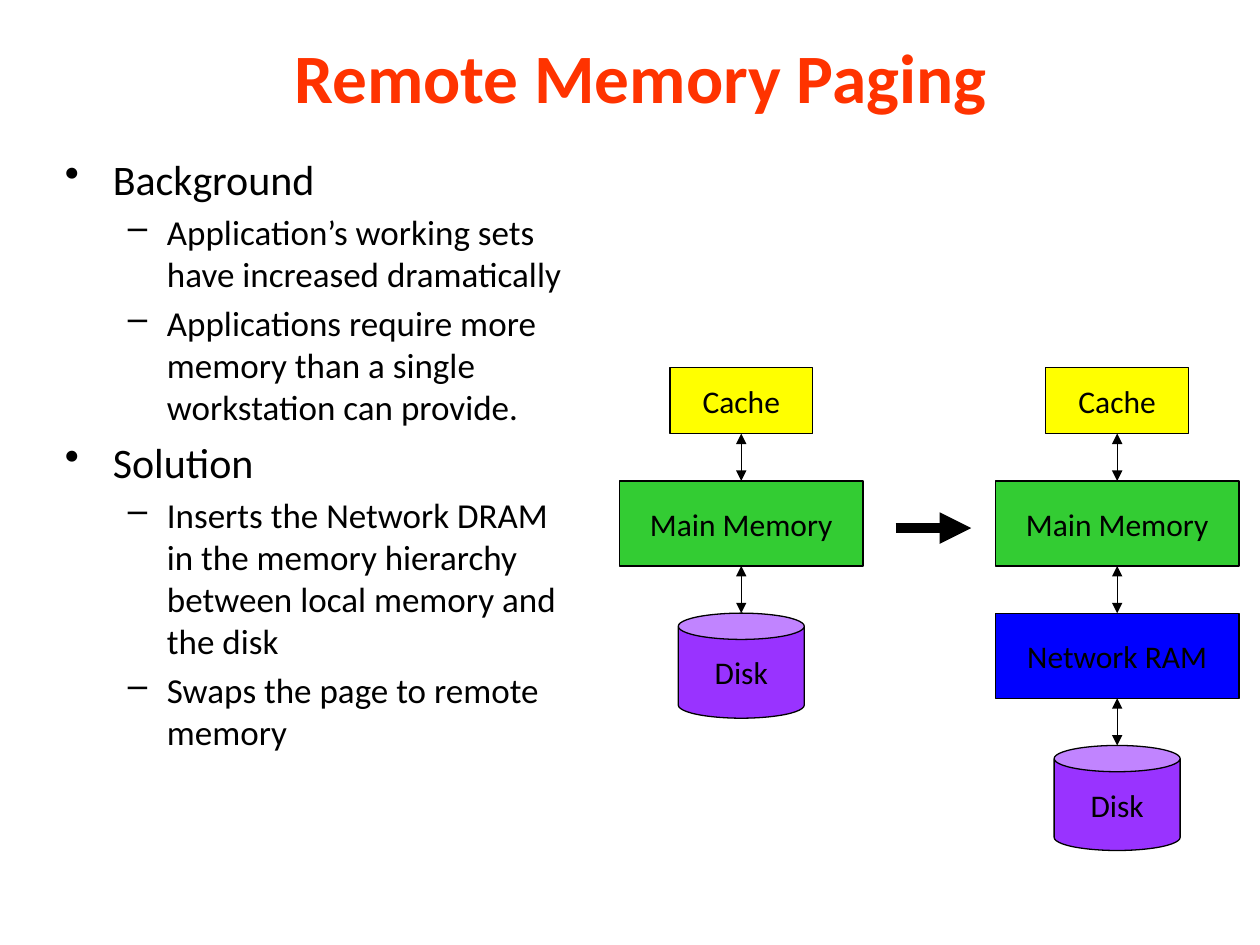
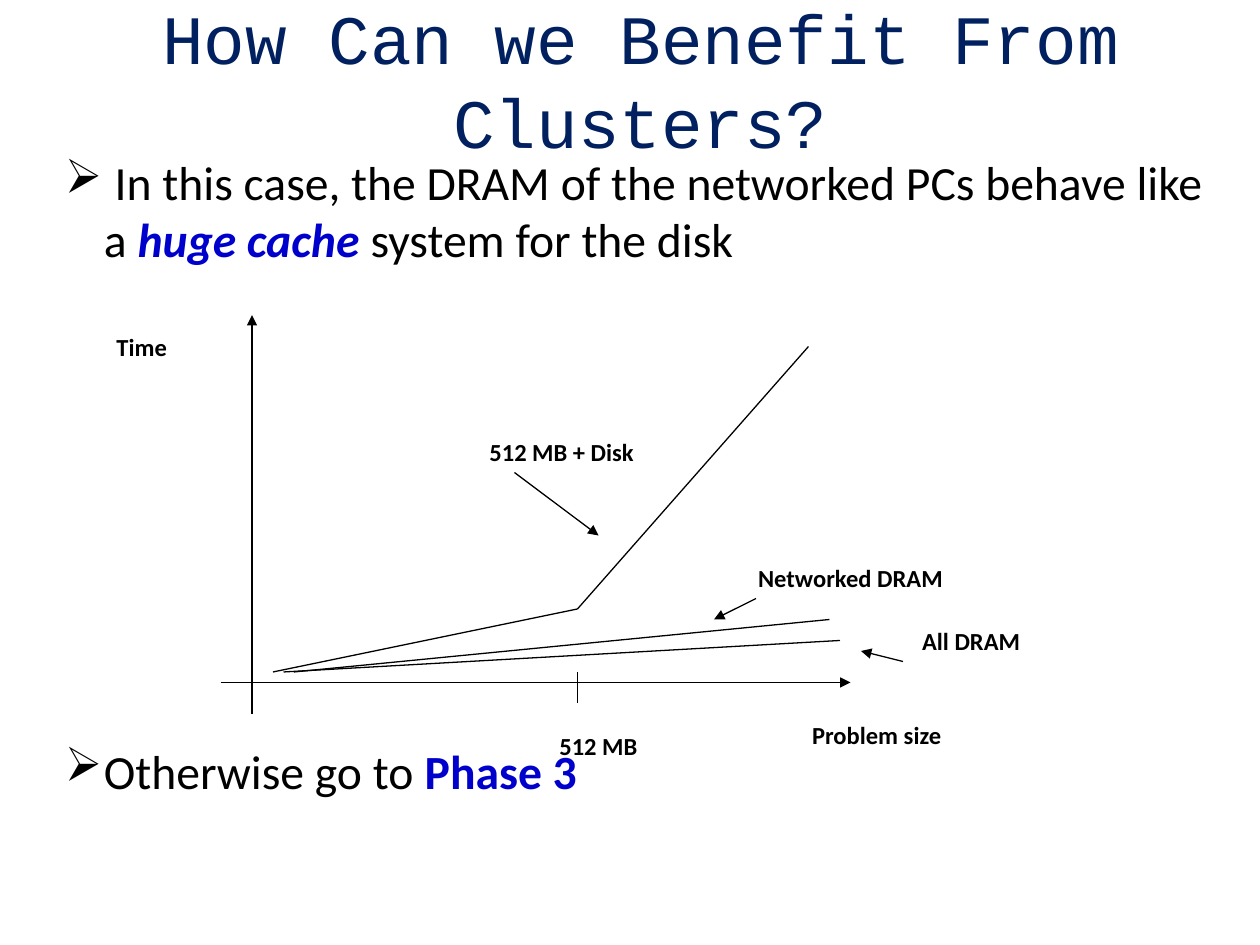
from pptx import Presentation
from pptx.dml.color import RGBColor
from pptx.enum.shapes import MSO_CONNECTOR, MSO_SHAPE
from pptx.enum.text import MSO_ANCHOR, PP_ALIGN
from pptx.oxml.ns import qn
from pptx.util import Inches, Pt
from lxml.etree import SubElement

COLORS = {
    "black": "000000", "title_red": "FF3300", "title_navy": "002060",
    "emphasis": "0000CC", "cache": "FFFF00", "memory": "33CC33",
    "network": "0000FF", "disk": "9933FF",
}

deck = Presentation()
deck.slide_width, deck.slide_height = Inches(10), Inches(7.5)
UNIT = deck.slide_width / 120  # the grid has 120 columns and 90 rows

# Shared formats
TITLE = {"alignment": PP_ALIGN.CENTER}
CENTERED = {"alignment": PP_ALIGN.CENTER}
MIDDLE = {"word_wrap": True, "vertical_anchor": MSO_ANCHOR.MIDDLE}
TOP = {"word_wrap": True, "vertical_anchor": MSO_ANCHOR.TOP}
UNWRAPPED = {"word_wrap": False, "vertical_anchor": MSO_ANCHOR.MIDDLE}
PLAIN = {"name": "Calibri", "bold": False, "italic": False}
BOLD = PLAIN | {"bold": True}


def write(frame, frame_format, paragraphs):
    """Fill a frame with (format, bullet, runs); a run is (text, font, colour)."""
    for key, value in frame_format.items():
        setattr(frame, key, value)
    for number, (paragraph_format, bullet, runs) in enumerate(paragraphs):
        paragraph = frame.add_paragraph() if number else frame.paragraphs[0]
        for key, value in paragraph_format.items():
            setattr(paragraph, key, value)
        if bullet:
            sign, margin, hanging = bullet
            properties = paragraph._p.get_or_add_pPr()
            properties.set("marL", str(Inches(margin)))
            properties.set("indent", str(-Inches(hanging)))
            SubElement(properties, qn("a:buChar")).set("char", sign)
        for text, font_format, color in runs:
            run = paragraph.add_run()
            run.text = text
            for key, value in font_format.items():
                setattr(run.font, key, value)
            run.font.color.rgb = RGBColor.from_string(COLORS[color])


def draw_line(slide, start, end, arrows=(), width=0.75):
    """Join two grid points; arrows names the ends that carry a triangle."""
    points = [round(value * UNIT) for value in (*start, *end)]
    line = slide.shapes.add_connector(MSO_CONNECTOR.STRAIGHT, *points)
    line.line.width = Pt(width)
    line.line.color.rgb = RGBColor.from_string(COLORS["black"])
    for arrow in arrows:
        SubElement(line.line._get_or_add_ln(), qn(f"a:{arrow}")).set("type", "triangle")
    SubElement(line._element.spPr, qn("a:effectLst"))
    return line


# Titles and bullet text of both slides
POINT, DETAIL, ARROW = ("•", 0.38, 0.38), ("–", 0.81, 0.31), ("➢", 0.31, 0.31)
outline = [
    (POINT, "Background"),
    (DETAIL, "Application’s working sets have increased dramatically"),
    (DETAIL, "Applications require more memory than a single workstation can provide."),
    (POINT, "Solution"),
    (DETAIL, "Inserts the Network DRAM in the memory hierarchy between local memory and the disk"),
    (DETAIL, "Swaps the page to remote memory"),
]
paging_points = []
for bullet, text in outline:
    size = 24 if bullet == POINT else 20
    spacing = {"space_before": Pt(0.2 * size if paging_points else 0)}
    paging_points.append((spacing, bullet, [(text, PLAIN | {"size": Pt(size)}, "black")]))

large = PLAIN | {"size": Pt(27.2)}
benefit_points = [
    ({"space_before": Pt(0)}, ARROW, [
        (" In this case, the DRAM of the networked PCs behave like a ", large, "black"),
        ("huge cache", large | {"bold": True, "italic": True}, "emphasis"),
        (" system for the disk", large, "black")]),
    ({"space_before": Pt(271)}, ARROW, [  # leaves room for the graph
        ("Otherwise go to ", large, "black"),
        ("Phase 3", large | {"bold": True}, "emphasis")]),
]

contents = [
    ("Remote Memory Paging", BOLD, "title_red", (10, 3, 102, 8.4),
     paging_points, (5, 14, 51, 64)),
    ("How Can we Benefit From Clusters?", PLAIN | {"name": "Courier New"}, "title_navy",
     (14, 3, 94, 9), benefit_points, (5, 14, 112, 55)),
]
slides = []
for title, title_font, title_color, title_area, points, body_area in contents:
    slide = deck.slides.add_slide(deck.slide_layouts[6])
    slides.append(slide)
    heading = [(TITLE, None, [(title, title_font | {"size": Pt(39.6)}, title_color)])]
    for area, frame_format, paragraphs in ((title_area, MIDDLE, heading),
                                           (body_area, TOP, points)):
        box = slide.shapes.add_textbox(*(round(value * UNIT) for value in area))
        write(box.text_frame, frame_format, paragraphs)
paging, benefit = slides

# Memory hierarchies: levels stacked with equal gaps
LEVELS = {  # text, preset, columns, rows
    "cache": ("Cache", MSO_SHAPE.RECTANGLE, 13.6, 6.3),
    "memory": ("Main Memory", MSO_SHAPE.RECTANGLE, 23.2, 8.1),
    "network": ("Network RAM", MSO_SHAPE.RECTANGLE, 23.2, 8.1),
    "disk": ("Disk", MSO_SHAPE.CAN, 12, 10),
}
LEVEL_GAP = 4.5
hierarchies = [
    (70.6, ["cache", "memory", "disk"]),
    (106.4, ["cache", "memory", "network", "disk"]),
]
for center, levels in hierarchies:
    top, upper = 35, None
    for level in levels:
        text, preset, columns, rows = LEVELS[level]
        area = (center - columns / 2, top, columns, rows)
        block = paging.shapes.add_shape(preset, *(round(value * UNIT) for value in area))
        block.shadow.inherit = False
        block.fill.solid()
        block.fill.fore_color.rgb = RGBColor.from_string(COLORS[level])
        block.line.color.rgb = RGBColor.from_string(COLORS["black"])
        block.line.width = Pt(0.75)
        write(block.text_frame, UNWRAPPED,
              [(CENTERED, None, [(text, PLAIN | {"size": Pt(18)}, "black")])])
        if upper:
            link = draw_line(paging, (center, top - LEVEL_GAP), (center, top),
                             ("headEnd", "tailEnd"))
            link.begin_connect(upper, 2)
            if preset == MSO_SHAPE.RECTANGLE:
                link.end_connect(block, 0)
        top, upper = top + rows + LEVEL_GAP, block

# Step from the first hierarchy to the second
draw_line(paging, (85.3, 50.3), (92.5, 50.3), ("tailEnd",), 6)

# Graph of time against problem size
graph_lines = [
    ((24, 30), (24, 68), ("headEnd",)),  # time axis
    ((21, 65), (81, 65), ("tailEnd",)),  # problem size axis
    ((55, 64), (55, 67), ()),            # 512 MB tick
    ((26, 64), (55, 58), ()),            # 512 MB + disk, before the knee
    ((55, 58), (77, 33), ()),            # 512 MB + disk, after the knee
    ((27, 64), (80, 61), ()),            # all DRAM
    ((28, 64), (79, 59), ()),            # networked DRAM
    ((49, 45), (57, 51), ("tailEnd",)),  # pointers from the labels
    ((72, 57), (68, 59), ("tailEnd",)),
    ((86, 63), (82, 62), ("tailEnd",)),
]
for start, end, arrows in graph_lines:
    draw_line(benefit, start, end, arrows)

# Graph labels: left, top and columns
graph_labels = {
    "Time": (6, 31, 15),
    "512 MB + Disk": (44, 41, 19),
    "Networked DRAM": (70, 53, 22),
    "All DRAM": (84, 59, 17),
    "512 MB": (51, 69, 12),
    "Problem size": (75, 68, 17),
}
for text, area in graph_labels.items():
    label = benefit.shapes.add_textbox(*(round(value * UNIT) for value in (*area, 4)))
    write(label.text_frame, TOP,
          [(CENTERED, None, [(text, BOLD | {"size": Pt(14)}, "black")])])

deck.save("out.pptx")
